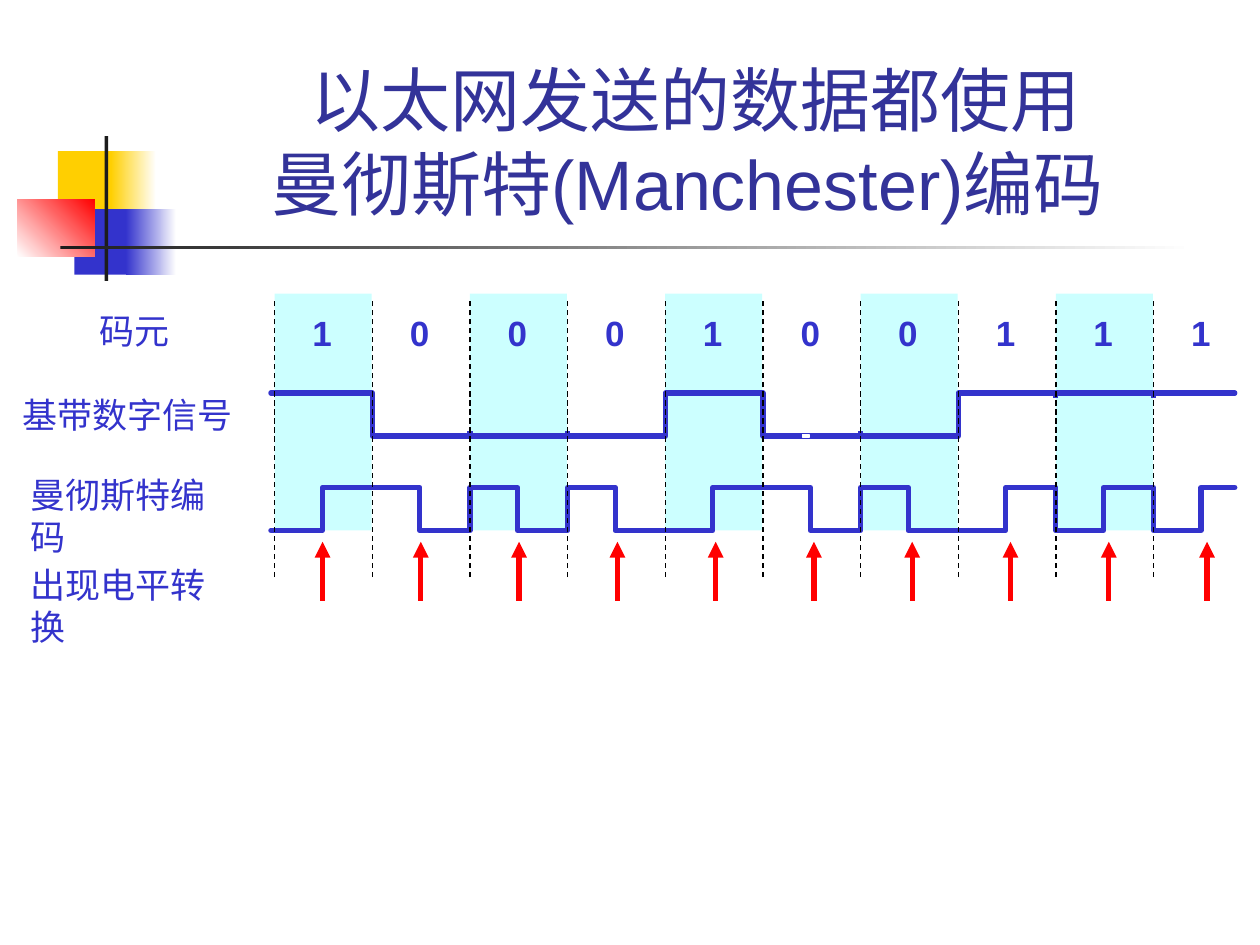
from lxml import etree
from pptx import Presentation
from pptx import util as u
from pptx.dml.color import RGBColor
from pptx.enum import dml, shapes, text
from pptx.oxml.ns import qn

BLUE, CYAN, BLACK, WHITE, RED = "3333CC", "CCFFFF", "1C1C1C", "FFFFFF", "FF0000"
BITS = "1000100111"
LEFT, PITCH = 2.18, 0.775
BASE_HIGH, BASE_LOW = 3.12, 3.46
CODE_HIGH, CODE_LOW = 3.87, 4.21
WAVE_START, WAVE_END = 2.15, 9.8


def rgb(color):
    return RGBColor.from_string(color)


def inches(*values):
    return [u.Inches(v) for v in values]


def rect(s, at, color, fade_to=None, angle=0, line=None):
    sp = s.shapes.add_shape(shapes.MSO_SHAPE.RECTANGLE, *inches(*at))
    sp.shadow.inherit = False
    if fade_to:
        sp.fill.gradient()
        sp.fill.gradient_angle = angle
        for stop, end, c in zip(sp.fill.gradient_stops, (0, 1), (color, fade_to)):
            stop.position = end
            stop.color.rgb = rgb(c)
    else:
        sp.fill.solid()
        sp.fill.fore_color.rgb = rgb(color)
    if line:
        sp.line.color.rgb = rgb(line)
        sp.line.width = u.Pt(0.75)
    else:
        sp.line.fill.background()


def line(s, start, end, color, width, dash=False, arrow=False):
    c = s.shapes.add_connector(shapes.MSO_CONNECTOR.STRAIGHT, *inches(*start, *end))
    c.line.color.rgb = rgb(color)
    c.line.width = u.Pt(width)
    if dash:
        c.line.dash_style = dml.MSO_LINE.DASH
    if arrow:
        etree.SubElement(c.line._get_or_add_ln(), qn("a:tailEnd"), type="triangle")
    etree.SubElement(c._element.spPr, qn("a:effectLst"))


def write(tf, content, size=20, color=BLUE, bold=False, align=None):
    tf.word_wrap = True
    p = tf.paragraphs[0]
    p.text = content
    p.alignment = align
    for r in p.runs:
        r.font.name = "Arial"
        r.font.size = u.Pt(size)
        r.font.bold = bold
        r.font.color.rgb = rgb(color)
    for br in p._p.findall(qn("a:br")):
        etree.SubElement(br, qn("a:rPr"), sz=str(size * 100))


def label(s, at, content, **fmt):
    write(s.shapes.add_textbox(*inches(*at)).text_frame, content, **fmt)


def wave(s, steps):
    """Draw a square wave from (x, level) pairs, each holding until the next x."""
    points = []
    for (x, y), (next_x, _) in zip(steps, steps[1:] + [(WAVE_END, None)]):
        points += [inches(x, y), inches(next_x, y)]
    builder = s.shapes.build_freeform(*points[0])
    builder.add_line_segments(points[1:], close=False)
    sp = builder.convert_to_shape()
    sp.shadow.inherit = False
    sp.fill.background()
    sp.line.color.rgb = rgb(BLUE)
    sp.line.width = u.Pt(3)
    ln = sp.line._get_or_add_ln()
    ln.set("cap", "rnd")
    etree.SubElement(ln, qn("a:round"))


def decoration(s):
    rect(s, (0.46, 1.2, 0.48, 0.52), "FFCF01")
    rect(s, (0.88, 1.2, 0.36, 0.52), "FFCF01", WHITE)
    rect(s, (0.59, 1.66, 0.46, 0.52), BLUE)
    rect(s, (1, 1.66, 0.4, 0.52), BLUE, WHITE)
    rect(s, (0.14, 1.58, 0.61, 0.46), WHITE, RED, angle=45)
    rect(s, (0.83, 1.08, 0.03, 1.15), BLACK)
    rect(s, (0.48, 1.95, 9, 0.03), BLACK, WHITE)


def title(s):
    sp = s.shapes.title
    sp.left, sp.top, sp.width, sp.height = inches(1.26, 0.23, 8.52, 1.6)
    tf = sp.text_frame
    tf.auto_size = text.MSO_AUTO_SIZE.NONE
    tf.vertical_anchor = text.MSO_ANCHOR.BOTTOM
    write(tf, "以太网发送的数据都使用\v曼彻斯特(Manchester)编码 ", size=40,
          color="333399", align=text.PP_ALIGN.CENTER)


def signals(s):
    edges = [LEFT + PITCH * i for i in range(len(BITS))]
    for x in edges[::2]:
        rect(s, (x, 2.33, 0.77, 1.88), CYAN)

    baseband, manchester = [], []
    for i, (x, bit) in enumerate(zip(edges, BITS)):
        start = x if i else WAVE_START
        one = bit == "1"
        label(s, (x + 0.2, 2.42, 0.35, 0.43), bit, bold=True, align=text.PP_ALIGN.CENTER)
        baseband.append((start, BASE_HIGH if one else BASE_LOW))
        halves = (CODE_LOW, CODE_HIGH) if one else (CODE_HIGH, CODE_LOW)
        manchester += [(start, halves[0]), (x + PITCH / 2 - 0.01, halves[1])]
        if i and bit == BITS[i - 1]:
            top = BASE_HIGH if one else BASE_LOW - 0.04
            line(s, (x, top + 0.04), (x, top), BLUE, 3)
    wave(s, baseband)
    wave(s, manchester)
    rect(s, (6.37, 3.45, 0.05, 0.02), WHITE, line=WHITE)

    for i, x in enumerate(edges):
        line(s, (x, 4.58), (x, 2.38), "000000", 0.75, dash=True)
        arrow_x = 2.56 + 0.78 * i
        line(s, (arrow_x, 4.77), (arrow_x, 4.3), RED, 3, arrow=True)


def main():
    prs = Presentation()
    prs.slide_width, prs.slide_height = inches(10, 7.5)
    s = prs.slides.add_slide(prs.slide_layouts[5])
    decoration(s)
    title(s)
    signals(s)
    for x, y, width, content in [
        (0.69, 2.41, 0.83, "码元"),
        (0.08, 3.07, 1.93, "基带数字信号"),
        (0.14, 3.71, 1.86, "曼彻斯特编码"),
        (0.14, 4.42, 1.86, "出现电平转换"),
    ]:
        label(s, (x, y, width, 0.43), content)
    prs.save("out.pptx")


if __name__ == "__main__":
    main()
